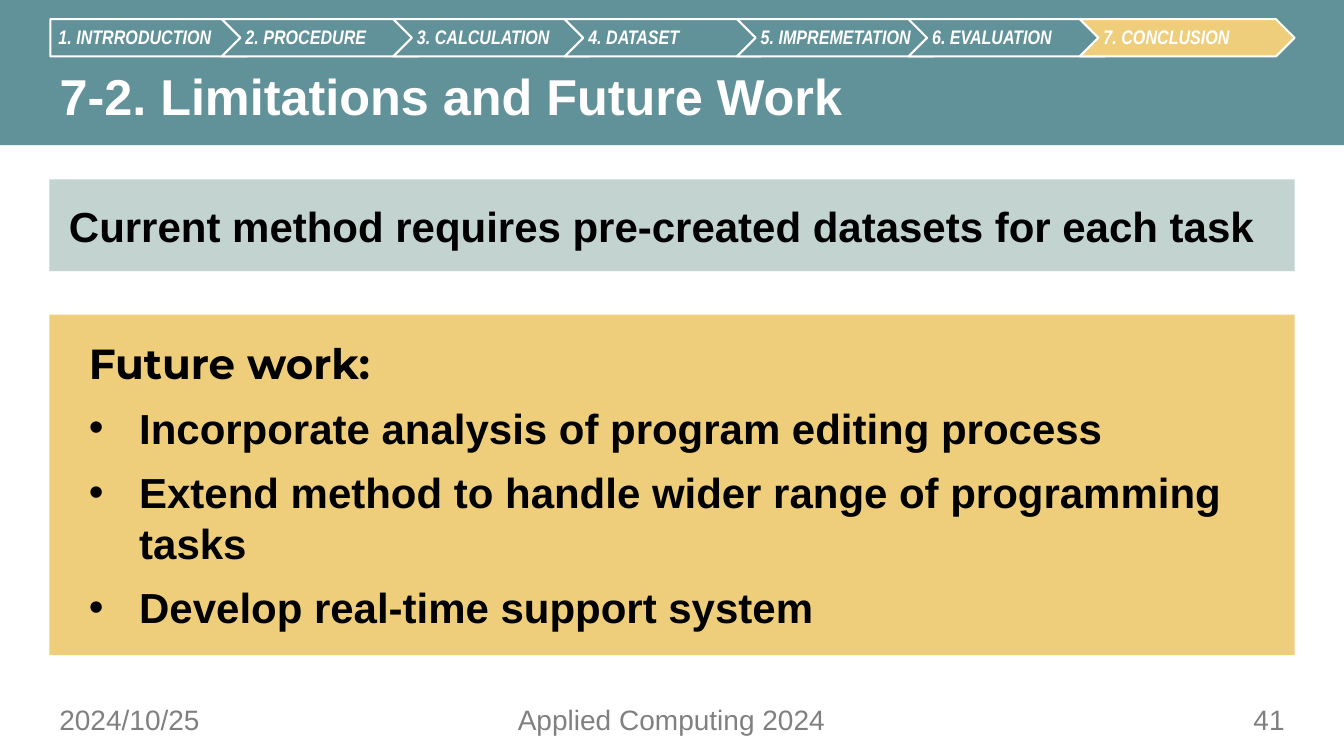
from lxml import etree
from pptx import Presentation
from pptx.dml.color import RGBColor
from pptx.enum.shapes import MSO_SHAPE
from pptx.enum.text import MSO_ANCHOR, MSO_AUTO_SIZE, PP_ALIGN
from pptx.oxml.ns import qn
from pptx.util import Pt

PX = 9144  # 100 px to the inch
RECT, PLATE, CHEVRON = MSO_SHAPE.RECTANGLE, MSO_SHAPE.PENTAGON, MSO_SHAPE.CHEVRON
LEFT, CENTER, RIGHT = PP_ALIGN.LEFT, PP_ALIGN.CENTER, PP_ALIGN.RIGHT
MIDDLE, NO_FIT = MSO_ANCHOR.MIDDLE, MSO_AUTO_SIZE.NONE

COLORS = {"teal": "629299", "gold": "EFCE7B", "mist": "C2D3D0",
          "white": "FFFFFF", "black": "000000", "gray": "808080"}
STEPS = ["1. INTRRODUCTION", "2. PROCEDURE", "3. CALCULATION", "4. DATASET",
         "5. IMPREMETATION", "6. EVALUATION", "7. CONCLUSION"]
PLANS = ["Incorporate analysis of program editing process",
         "Extend method to handle wider range of programming tasks",
         "Develop real-time support system"]
EDGE, WIDE = 49, 1235


def color(name):
    return RGBColor.from_string(COLORS[name])


def scale(*sizes):
    return [size * PX for size in sizes]


def set_frame(shape, pads):
    """Centre the text vertically and set left, top, right, bottom insets."""
    frame = shape.text_frame
    frame.word_wrap = True
    frame.auto_size = NO_FIT
    frame.vertical_anchor = MIDDLE
    (frame.margin_left, frame.margin_top,
     frame.margin_right, frame.margin_bottom) = scale(*pads)


def write(para, text, size=30, font="Arial", ink="black", bold=False,
          italic=False, align=LEFT, before=0, line=1.0):
    para.alignment = align
    para.space_before = Pt(before)
    para.line_spacing = line
    run = para.add_run()
    run.text = text
    run.font.size = Pt(size)
    run.font.name = font
    run.font.bold = bold
    run.font.italic = italic
    run.font.color.rgb = color(ink)


def add_bullet(para, indent):
    props = para._p.get_or_add_pPr()
    props.set("marL", str(indent * PX))
    props.set("indent", str(-indent * PX))
    etree.SubElement(props, qn("a:buFont")).set("typeface", "Arial")
    etree.SubElement(props, qn("a:buChar")).set("char", "•")


def add_block(slide, kind, box, fill, pads=(10, 5, 10, 5), line=None):
    shape = slide.shapes.add_shape(kind, *scale(*box))
    shape.shadow.inherit = False
    shape.fill.solid()
    shape.fill.fore_color.rgb = color(fill)
    if line:
        shape.line.color.rgb = color(line)
        shape.line.width = Pt(1.5)
    else:
        shape.line.fill.background()
    set_frame(shape, pads)
    return shape


def add_title(slide, text):
    title = slide.shapes.title
    slide.shapes._spTree.append(title._element)  # in front of the band
    title.left, title.top, title.width, title.height = scale(EDGE, 53, WIDE, 91)
    set_frame(title, (10, 5, 10, 5))
    write(title.text_frame.paragraphs[0], text, size=36, ink="white",
          bold=True, line=0.9)


def add_note(slide, text, box, align):
    note = slide.shapes.add_textbox(*scale(*box))
    set_frame(note, (10, 5, 10, 5))
    write(note.text_frame.paragraphs[0], text, size=20, ink="gray", align=align)


def add_steps(slide, current):
    width, height = 213, 37
    pitch = (WIDE - 1 - width) / (len(STEPS) - 1)
    for i, step in enumerate(STEPS):
        kind, pads = (CHEVRON, (5, 4, 0, 4)) if i else (PLATE, (8, 4, 2, 4))
        fill = "gold" if i == current else "teal"
        box = (50 + round(i * pitch), 19, width, height)
        shape = add_block(slide, kind, box, fill, pads, "white")
        write(shape.text_frame.paragraphs[0], step, size=14,
              font="Arial Narrow", ink="white", bold=True, italic=True, line=0.9)


def add_future(slide):
    block = add_block(slide, RECT, (EDGE, 312, WIDE, 338), "gold", (39, 5, 39, 5))
    frame = block.text_frame
    write(frame.paragraphs[0], "Future work:", font="Montserrat",
          bold=True, before=10)
    for plan in PLANS:
        para = frame.add_paragraph()
        write(para, plan, bold=True, before=10)
        add_bullet(para, 50)


def add_limit(slide):
    block = add_block(slide, RECT, (EDGE, 178, WIDE, 91), "mist", (0, 5, 20, 5))
    write(block.text_frame.paragraphs[0],
          "Current method requires pre-created datasets for each task",
          bold=True, align=CENTER, before=10)


def main():
    deck = Presentation()
    deck.slide_width, deck.slide_height = scale(1333, 750)
    slide = deck.slides.add_slide(deck.slide_layouts[5])
    add_block(slide, RECT, (0, 0, 1333, 144), "teal")
    add_title(slide, "7-2. Limitations and Future Work")
    add_note(slide, "2024/10/25", (EDGE, 694, 300, 40), LEFT)
    add_note(slide, "41", (984, 694, 300, 40), RIGHT)
    add_note(slide, "Applied Computing 2024", (416, 693, 500, 41), CENTER)
    add_steps(slide, current=6)
    add_future(slide)
    add_limit(slide)
    deck.save("out.pptx")


if __name__ == "__main__":
    main()
